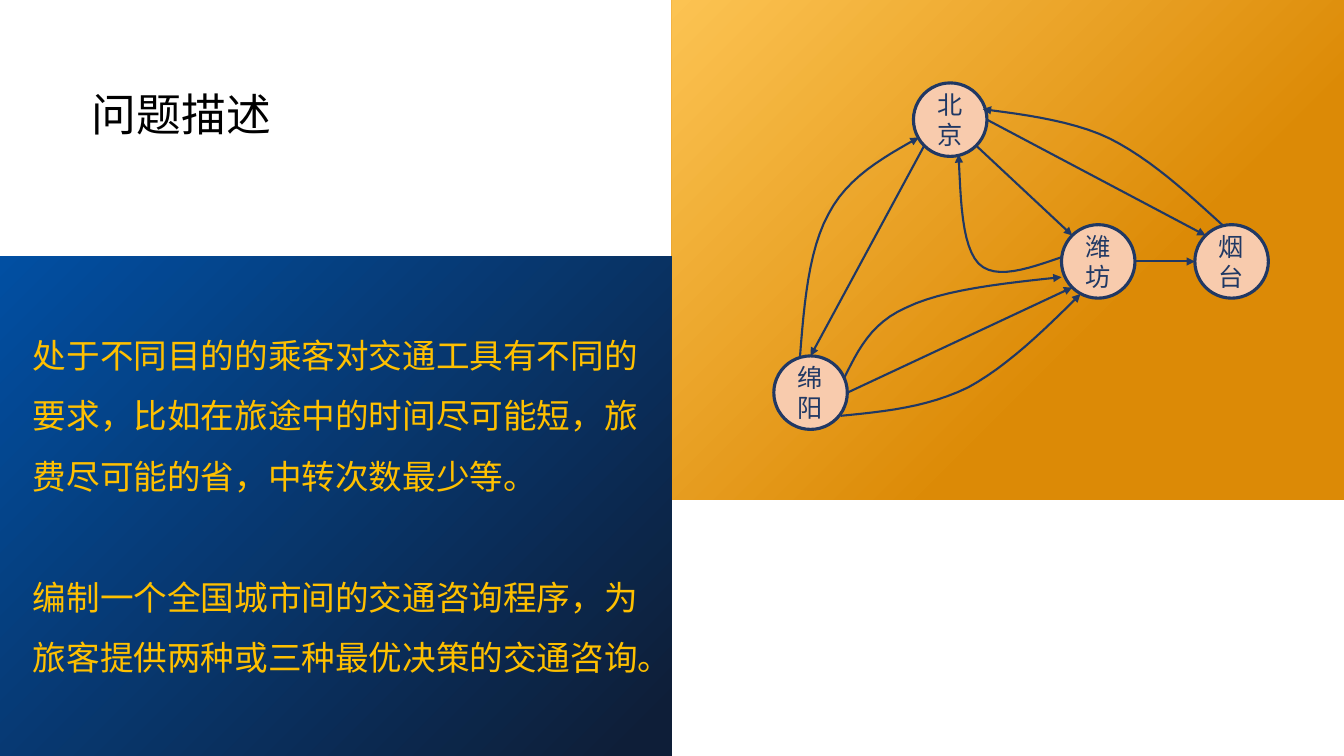
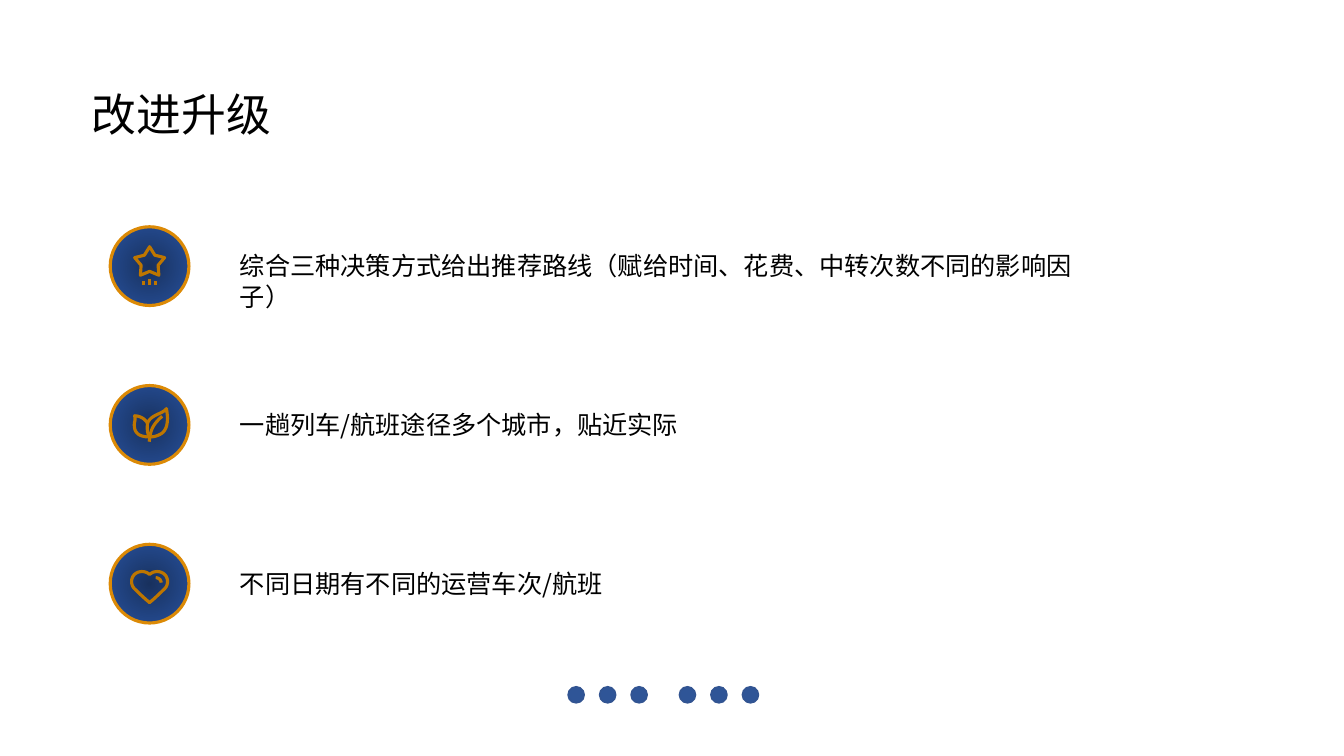
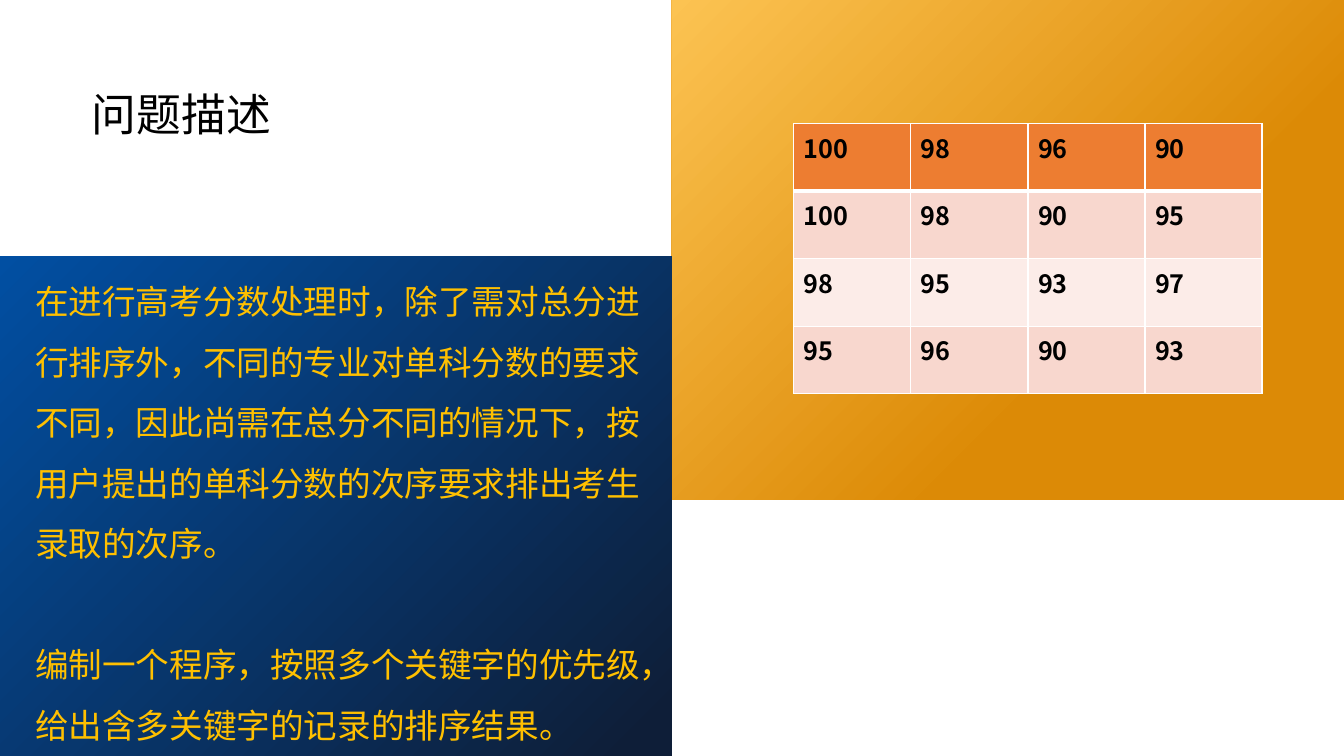
from math import cos, radians, sin

from lxml import etree
from pptx import Presentation
from pptx.dml.color import RGBColor
from pptx.enum.shapes import MSO_CONNECTOR, MSO_SHAPE
from pptx.enum.text import MSO_ANCHOR, MSO_AUTO_SIZE, PP_ALIGN
from pptx.oxml.ns import qn
from pptx.util import Emu, Pt

RECT, OVAL = MSO_SHAPE.RECTANGLE, MSO_SHAPE.OVAL
STRAIGHT = MSO_CONNECTOR.STRAIGHT
FIT = MSO_AUTO_SIZE.SHAPE_TO_FIT_TEXT
MIDDLE, CENTER = MSO_ANCHOR.MIDDLE, PP_ALIGN.CENTER

# Grid of 128 columns by 72 rows of square cells
CELL, COLS, ROWS = 95250, 128, 72
FONT = "Noto Sans CJK SC"

WHITE = RGBColor(0xFF, 0xFF, 0xFF)
BLACK = RGBColor(0x00, 0x00, 0x00)
ORANGE = RGBColor(0xDC, 0x8A, 0x06)
AMBER = RGBColor(0xFC, 0xC3, 0x52)
BLUE = RGBColor(0x01, 0x4F, 0xA2)
NIGHT = RGBColor(0x0E, 0x1E, 0x38)
GOLD = RGBColor(0xFF, 0xC0, 0x00)
NAVY = RGBColor(0x20, 0x38, 0x64)
PEACH = RGBColor(0xF8, 0xCB, 0xAD)
BADGE_IN = RGBColor(0x18, 0x31, 0x5E)
BADGE_OUT = RGBColor(0x28, 0x52, 0x9E)
BRONZE = RGBColor(0xBE, 0x76, 0x00)
DOT, DOT_EDGE = RGBColor(0x2F, 0x55, 0x97), RGBColor(0x32, 0x54, 0x91)
HEADER = RGBColor(0xED, 0x7D, 0x31)
BANDS = RGBColor(0xF8, 0xD7, 0xCE), RGBColor(0xFC, 0xEC, 0xE8)


def cells(*values):
    return [Emu(round(v * CELL)) for v in values]


def bezier(points, steps=12):
    """Sample a chain of cubic curves: a start, then three points for each."""
    out = [points[0]]
    for i in range(0, len(points) - 1, 3):
        for k in range(1, steps + 1):
            t = k / steps
            weights = (1 - t) ** 3, 3 * t * (1 - t) ** 2, 3 * t * t * (1 - t), t ** 3
            out.append(tuple(sum(w * p[axis] for w, p in zip(weights, points[i:i + 4]))
                             for axis in (0, 1)))
    return out


class Deck:
    def __init__(self):
        self.prs = Presentation()
        self.prs.slide_width, self.prs.slide_height = cells(COLS, ROWS)
        self.slide = None

    def new_slide(self, title):
        self.slide = self.prs.slides.add_slide(self.prs.slide_layouts[6])
        self.text((7.8, 7.8, 19.2, 6.1), [title], 32, BLACK, wrap=False)

    def problem_slide(self, title, body, top, left):
        """A slide with a blue text panel and an orange figure panel."""
        self.new_slide(title)
        width, height = COLS / 2, 47.6
        self.panel((width, 0, width, height), (0.35, ORANGE), (1, AMBER), 135)
        self.panel((0, ROWS - height, width, height), (0, BLUE), (0.96, NIGHT), 315)
        self.text((left, top, 61.5, 35.2), body, 24, GOLD, spacing=1.5, gap=43.2)

    def run(self, p, text, size, color, bold=False):
        r = p.add_run()
        r.text = text
        r.font.size, r.font.name, r.font.bold = Pt(size), FONT, bold
        r.font.color.rgb = color
        etree.SubElement(r.font._element, qn("a:ea"), typeface=FONT)

    def text(self, box, paragraphs, size, color, wrap=True, spacing=None, gap=0):
        tf = self.slide.shapes.add_textbox(*cells(*box)).text_frame
        tf.word_wrap, tf.auto_size = wrap, FIT
        for i, line in enumerate(paragraphs):
            p = tf.add_paragraph() if i else tf.paragraphs[0]
            p.line_spacing = spacing
            p.space_before = Pt(gap if i else 0)
            self.run(p, line, size, color)

    def shape(self, kind, box, fill=None, line=None, width=1):
        sp = self.slide.shapes.add_shape(kind, *cells(*box))
        sp.shadow.inherit = False
        if fill is not None:
            sp.fill.solid()
            sp.fill.fore_color.rgb = fill
        if line is None:
            sp.line.fill.background()
        else:
            self.stroke(sp, line, width)
        return sp

    def gradient(self, sp, *stops):
        sp.fill.gradient()
        for stop, (position, color) in zip(sp.fill.gradient_stops, stops):
            stop.position, stop.color.rgb = position, color

    def panel(self, box, start, end, angle):
        sp = self.shape(RECT, box)
        self.gradient(sp, start, end)
        sp.fill.gradient_angle = angle

    def badge(self, box):
        sp = self.shape(OVAL, box, line=ORANGE, width=2.25)
        self.gradient(sp, (0, BADGE_IN), (1, BADGE_OUT))
        grad = sp.element.spPr.find(qn("a:gradFill"))
        grad.remove(grad.find(qn("a:lin")))
        radial = etree.SubElement(grad, qn("a:path"), path="circle")
        etree.SubElement(radial, qn("a:fillToRect"), l="50000", t="50000", r="50000", b="50000")

    def node(self, name, center, diameter):
        x, y = center
        box = x - diameter / 2, y - diameter / 2, diameter, diameter
        tf = self.shape(OVAL, box, PEACH, NAVY, 2.25).text_frame
        tf.word_wrap, tf.vertical_anchor = True, MIDDLE
        tf.paragraphs[0].alignment = CENTER
        self.run(tf.paragraphs[0], name, 18, NAVY)

    def stroke(self, sp, color, width, arrow=False):
        sp.line.color.rgb, sp.line.width = color, Pt(width)
        if arrow:
            ln = sp.element.spPr.find(qn("a:ln"))
            etree.SubElement(ln, qn("a:tailEnd"), type="triangle")

    def line(self, start, end, color, width, arrow=False):
        sp = self.slide.shapes.add_connector(STRAIGHT, *cells(*start, *end))
        self.stroke(sp, color, width, arrow)
        etree.SubElement(sp.element.spPr, qn("a:effectLst"))

    def outline(self, points, color, width, arrow=False, close=False):
        first, *rest = [cells(*point) for point in points]
        builder = self.slide.shapes.build_freeform(*first)
        builder.add_line_segments(rest, close=close)
        sp = builder.convert_to_shape()
        sp.shadow.inherit = False
        sp.fill.background()
        self.stroke(sp, color, width, arrow)

    def table(self, box, rows):
        table = self.slide.shapes.add_table(len(rows), len(rows[0]), *cells(*box)).table
        for i, row in enumerate(rows):
            table.rows[i].height = cells(box[3] / len(rows))[0]
            for j, value in enumerate(row):
                cell = table.cell(i, j)
                borders = {"L": 1, "R": 1, "T": 3 if i == 1 else 1, "B": 1 if i else 3}
                for side, width in borders.items():
                    ln = etree.SubElement(cell._tc.get_or_add_tcPr(), qn("a:ln" + side),
                                          w=str(Pt(width)))
                    fill = etree.SubElement(ln, qn("a:solidFill"))
                    etree.SubElement(fill, qn("a:srgbClr"), val=str(WHITE))
                cell.fill.solid()
                cell.fill.fore_color.rgb = BANDS[(i - 1) % 2] if i else HEADER
                self.run(cell.text_frame.paragraphs[0], str(value), 18, BLACK, bold=True)


# City graph: centres, straight routes by rim angle, curved routes
DIAMETER = 7
CITIES = {"北京": (90.5, 11.4), "潍坊": (104.6, 24.9),
          "烟台": (117.3, 24.9), "绵阳": (77.2, 37.4)}
ROUTES = [("北京", 45, "潍坊", 225), ("北京", 0, "烟台", 225), ("北京", 135, "绵阳", 270),
          ("绵阳", 0, "潍坊", 135), ("潍坊", 0, "烟台", 180)]
CURVED_ROUTES = [
    [(101.1, 24.5), (97.9, 25.6), (94.8, 26.7), (93.2, 25.1),
     (91.6, 23.4), (91.5, 19.1), (91.3, 14.7)],
    [(116.5, 21.5), (113, 18.3), (109.5, 15.1), (105.7, 13.2),
     (101.9, 11.3), (95.7, 10.7), (93.6, 10.4)],
    [(76.2, 33.9), (76.6, 28.9), (77, 23.9), (78.9, 20.4),
     (80.7, 16.9), (84.1, 15), (87.5, 13.1)],
    [(80.4, 36), (81.7, 33.4), (82.9, 30.8), (86.3, 29.3),
     (89.8, 27.6), (95.4, 27), (101.1, 26.4)],
    [(80.1, 39.6), (84.2, 39.2), (88.3, 38.8), (92.2, 36.9),
     (95.9, 34.9), (99.5, 31.4), (102.9, 28)],
]

# Icon strokes, measured from the centre of the badge
STAR = [(r * sin(radians(36 * k)), -0.35 - r * cos(radians(36 * k)))
        for k, r in enumerate([1.5, 0.85] * 5)]
RAYS = [[(-0.55, 1.45), (-0.55, 1.8)], [(0, 1.2), (0, 1.8)], [(0.55, 1.45), (0.55, 1.8)]]
LEAVES = [
    [(-0.2, -0.15), (-0.45, -0.6), (-0.9, -0.85), (-1.43, -0.87), (-1.3, -0.4),
     (-1.5, -0.3), (-1.45, 0.15), (-1.4, 0.9), (-0.8, 1.15), (0, 1.15)],
    [(0, 1.15), (-0.25, 0.8), (-0.25, 0.3), (-0.2, -0.15), (0.1, -1), (1.2, -1),
     (1.6, -1.55), (1.85, -0.2), (1.6, 0.6), (1, 0.9), (0.6, 1.1), (0.3, 1.15), (0, 1.15)],
    [(-0.04, 1.6), (0.1, 0.9), (0, 0.2), (1.2, -0.82)],
]
HALF_HEART = [(0, -0.87), (0.4, -1.25), (1.05, -1.25), (1.45, -0.87), (1.8, -0.5),
              (1.8, 0.1), (1.45, 0.47), (0.95, 0.95), (0.5, 1.4), (0, 1.8)]
HEART = HALF_HEART + [(-x, y) for x, y in HALF_HEART[-2::-1]]
GLINT = [(0.58, -0.58), (0.9, -0.55), (1.1, -0.35), (1.1, -0.1)]
ICONS = [[STAR] + RAYS,
         [bezier(curve) for curve in LEAVES],
         [bezier(HEART), bezier(GLINT)]]
UPGRADES = ["综合三种决策方式给出推荐路线（赋给时间、花费、中转次数不同的影响因子）",
            "一趟列车/航班途径多个城市，贴近实际",
            "不同日期有不同的运营车次/航班"]

SCORES = [[100, 98, 96, 90], [100, 98, 90, 95], [98, 95, 93, 97], [95, 96, 90, 93]]


def rim(city, angle):
    x, y = CITIES[city]
    a = radians(angle)
    return x + DIAMETER / 2 * cos(a), y + DIAMETER / 2 * sin(a)


def travel_slide(deck):
    deck.problem_slide("问题描述", [
        "处于不同目的的乘客对交通工具有不同的要求，比如在旅途中的时间尽可能短，"
        "旅费尽可能的省，中转次数最少等。",
        "编制一个全国城市间的交通咨询程序，为旅客提供两种或三种最优决策的交通咨询。",
    ], top=29.5, left=2.2)
    for name, center in CITIES.items():
        deck.node(name, center, DIAMETER)
    for start, leave, end, arrive in ROUTES:
        deck.line(rim(start, leave), rim(end, arrive), NAVY, 1.5, arrow=True)
    for curve in CURVED_ROUTES:
        deck.outline(bezier(curve), NAVY, 1.5, arrow=True)


def upgrade_slide(deck):
    deck.new_slide("改进升级")
    left, top, size, step = 10.5, 21.6, 7.5, 15.12
    for i, (icon, line) in enumerate(zip(ICONS, UPGRADES)):
        y = top + i * step
        deck.badge((left, y, size, size))
        for points in icon:
            placed = [(left + size / 2 + dx, y + size / 2 + dy) for dx, dy in points]
            deck.outline(placed, BRONZE, 2.25, close=points is STAR)
        deck.text((21.9, y + 1.8, 84.3, 3.8), [line], 18, BLACK)
    # Two groups of three dots
    for start in (54.1, 64.7):
        for k in range(3):
            deck.shape(OVAL, (start + 3 * k, 65.4, 1.55, 1.55), DOT, DOT_EDGE)


def score_slide(deck):
    deck.problem_slide("问题描述", [
        "在进行高考分数处理时，除了需对总分进行排序外，不同的专业对单科分数的要求不同，"
        "因此尚需在总分不同的情况下，按用户提出的单科分数的次序要求排出考生录取的次序。",
        "编制一个程序，按照多个关键字的优先级，给出含多关键字的记录的排序结果。",
    ], top=24.4, left=2.4)
    deck.table((75.6, 11.8, 44.6, 25.7), SCORES)


def main():
    deck = Deck()
    travel_slide(deck)
    upgrade_slide(deck)
    score_slide(deck)
    deck.prs.save("out.pptx")


if __name__ == "__main__":
    main()
